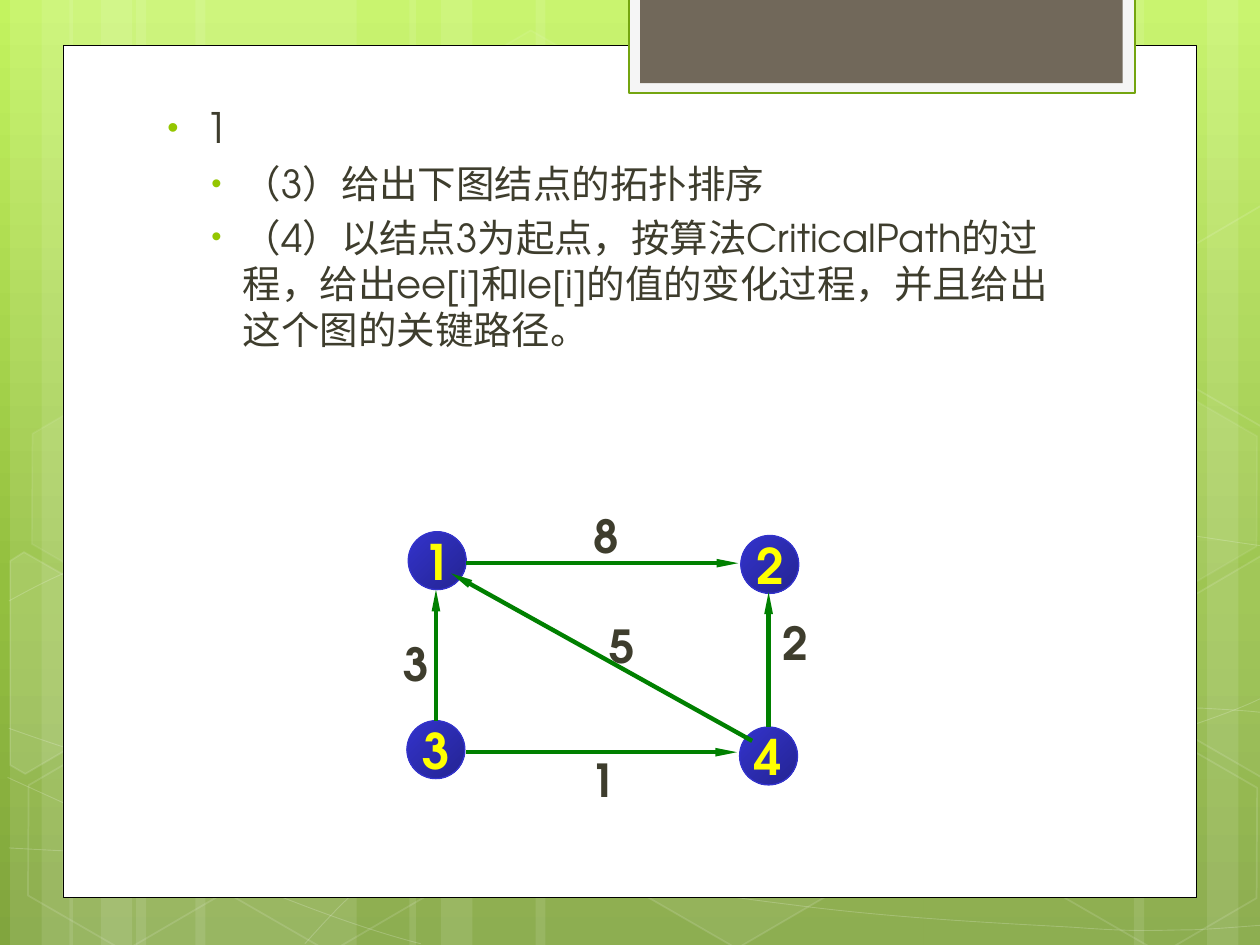
from copy import deepcopy
from math import cos, radians, sin

from lxml import etree
from pptx import Presentation
from pptx.dml.color import RGBColor
from pptx.enum.shapes import MSO_CONNECTOR, MSO_SHAPE
from pptx.enum.text import MSO_ANCHOR, PP_ALIGN
from pptx.oxml.ns import qn
from pptx.util import Inches, Pt

RECT, HEX, OVAL = MSO_SHAPE.RECTANGLE, MSO_SHAPE.HEXAGON, MSO_SHAPE.OVAL
LINE = MSO_CONNECTOR.STRAIGHT
MID, MID_ROW = PP_ALIGN.CENTER, MSO_ANCHOR.MIDDLE
FONT = "TeX Gyre Adventor"
WHITE, INK, GREEN = "FFFFFF", "3E3D2D", "008000"
TILT = 30

STRIPES = [(1.08, 1.75), (0.08, 0.5), (0.33, 0.83), (1.55, 1.75), (0.55, 0.5),
           (0.8, 0.83), (7.33, 1.75), (9.58, 0.5), (9, 0.83), (4.25, 3.08),
           (3.25, 0.5), (3.5, 0.83)]
CURVES = [
    ([3] * 4,
     [(0.07, 6.73), (0.61, 6.76), (1.15, 6.79), (1.9, 6.78), (2.65, 6.77),
      (3.58, 6.75), (4.58, 6.65), (5.58, 6.55), (7, 6.36), (7.92, 6.17),
      (8.83, 5.98), (9.77, 5.68), (10.07, 5.51)]),
    ([3] * 4,
     [(0.07, 4.77), (0.36, 4.61), (0.65, 4.46), (1.21, 4.31), (1.78, 4.16),
      (2.59, 3.94), (3.47, 3.87), (4.36, 3.8), (5.44, 3.79), (6.54, 3.87),
      (7.64, 3.95), (9.47, 4.26), (10.07, 4.34)]),
    ([3], [(0.06, 6.17), (1.27, 6.72), (2.47, 7.27), (3.34, 7.49)]),
    ([3] * 6,
     [(0.07, 5.78), (0.38, 5.89), (0.7, 6), (1.28, 6.16), (1.86, 6.31),
      (2.73, 6.56), (3.57, 6.73), (4.4, 6.9), (5.45, 7.08), (6.28, 7.18),
      (7.11, 7.29), (8, 7.33), (8.53, 7.36), (9.05, 7.4), (9.19, 7.38),
      (9.45, 7.38), (9.71, 7.37), (9.89, 7.35), (10.07, 7.34)]),
    ([3] * 7 + [1] + [3] * 2,
     [(2.42, 7.49), (2.6, 7.29), (2.78, 7.09), (3.02, 6.91), (3.26, 6.73),
      (3.6, 6.53), (3.88, 6.39), (4.16, 6.25), (4.33, 6.19), (4.7, 6.09),
      (5.06, 5.99), (5.73, 5.85), (6.08, 5.78), (6.44, 5.71), (6.49, 5.71),
      (6.8, 5.69), (7.11, 5.66), (7.6, 5.63), (7.94, 5.62), (8.29, 5.61),
      (8.86, 5.62), (8.86, 5.62), (9.53, 5.62), (9.71, 5.63), (9.88, 5.64),
      (9.97, 5.65), (10.06, 5.66), (10.03, 5.65), (10.06, 5.66)]),
]
HEXES = [(3.34, 0.36, 4, 8), (4.97, 5.89, 6, 12), (0.11, 5.91, 0, 12),
         (0.14, 3.12, 7, 8), (1.74, 5.92, 0, 12), (7.53, 4.53, 10, 12),
         (8.34, 5.93, 0, 12), (8.34, 3.14, 7, 8)]
PARTS = [
    ((0.36, 5.35), 10, [(0.08, 4.45), (0.19, 4.38), (0.96, 4.82), (0.95, 5.7),
                        (0.2, 6.14), (0.08, 6.07)]),
    ((9.85, 5.2), 4, [(9.26, 4.85), (10.01, 4.41), (10.09, 4.46), (10.09, 6.13),
                      (10.02, 6.17), (9.26, 5.73)]),
    ((9.85, 2.41), 0, [(9.26, 2.07), (10.01, 1.63), (10.1, 1.68), (10.09, 3.35),
                       (10.02, 3.39), (9.26, 2.95)]),
]
TASKS = ["1", "（3）给出下图结点的拓扑排序",
         "（4）以结点3为起点，按算法CriticalPath的过程，给出ee[i]和le[i]的值的变化过程，"
         "并且给出这个图的关键路径。"]
NODES = [("1", 0.14, 0.24), ("3", 0.13, 1.74), ("2", 2.78, 0.27), ("4", 2.77, 1.79)]
EDGES = [(0.36, 1.74, 0.36, 0.7), (0.6, 0.49, 2.76, 0.49), (0.6, 1.99, 2.75, 1.99),
         (3, 1.79, 3, 0.72), (2.87, 1.9, 0.48, 0.57)]
COSTS = [("8", 1.51, 0), ("5", 1.64, 0.88), ("2", 3.01, 0.85), ("3", 0, 1.02),
         ("1", 1.49, 1.94)]


def tint(code):
    return RGBColor.from_string(code)


def apply(item, style):
    for key, value in style.items():
        setattr(item, key, value)


def node(root, tag, **attrs):
    return etree.SubElement(root, qn(tag), attrs)


def fade(shape, route, alpha):
    for color in shape._element.xpath(f"./p:spPr/{route}a:solidFill/a:srgbClr"):
        node(color, "a:alpha", val=str(alpha * 1000))


def paint(shape, fill=None, alpha=100, line=None, width=1, veil=100):
    shape.shadow.inherit = False
    if fill and alpha:
        shape.fill.solid()
        shape.fill.fore_color.rgb = tint(fill)
        fade(shape, "", alpha)
    else:
        shape.fill.background()
    if line:
        shape.line.color.rgb = tint(line)
        shape.line.width = Pt(width)
        fade(shape, "a:ln/", veil)
    else:
        shape.line.fill.background()


def blend(fill, root, stops, angle):
    fill.gradient()
    fill.gradient_angle = angle
    ramp = root.xpath(".//a:gsLst")[0]
    while len(ramp) < len(stops):
        ramp.append(deepcopy(ramp[0]))
    for stop, (place, code) in zip(fill.gradient_stops, stops):
        stop.position = place
        stop.color.rgb = tint(code)


def put(slide, kind, box):
    return slide.shapes.add_shape(kind, *map(Inches, box))


def trace(slide, box, points, close):
    spots = [(Inches(box[0] + x), Inches(box[1] + y)) for x, y in points]
    pen = slide.shapes.build_freeform(*spots[0])
    pen.add_line_segments(spots[1:], close=close)
    return pen.convert_to_shape()


def bend(shape, sizes):
    track = shape._element.xpath(".//a:path")[0]
    legs = iter(track.findall(qn("a:lnTo")))
    for size in sizes:
        group = [next(legs) for _ in range(size)]
        if size == 3:
            arc = node(track, "a:cubicBezTo")
            for leg in group:
                arc.append(leg[0])
                track.remove(leg)
        else:
            track.append(group[0])


def turn(points, pivot, angle):
    c, s = cos(radians(angle)), sin(radians(angle))
    px, py = pivot
    return [(px + (x - px) * c - (y - py) * s, py + (x - px) * s + (y - py) * c)
            for x, y in points]


def scene(slide, box):
    left, top, _, high = box
    blend(slide.background.fill, slide._element,
          [(0, "C3F35F"), (0.62, "93BF3F"), (1, "81A53E")], 270)
    for x, wide in STRIPES:
        paint(put(slide, RECT, (left + x, top, wide, high)), WHITE, 10)
    for sizes, points in CURVES:
        wave = trace(slide, box, points, False)
        bend(wave, sizes)
        paint(wave, line=WHITE, width=0.5, veil=20)
    for x, y, alpha, veil in HEXES:
        cell = put(slide, HEX, (left + x, top + y, 1.75, 1.52))
        cell.rotation = TILT
        cell.adjustments[0] = 0.285
        paint(cell, WHITE, alpha, WHITE, 1, veil)
    for pivot, alpha, points in PARTS:
        part = trace(slide, box, turn(points, pivot, -TILT), True)
        part.rotation = TILT
        paint(part, WHITE, alpha, WHITE, 1, 12)


def panel(slide, box):
    left, top, _, _ = box
    paint(put(slide, RECT, box), WHITE, line="000000", width=0.5)
    paint(put(slide, RECT, (left + 4.49, top - 0.38, 4.02, 0.76)), "F5F5F5",
          line="74A510", width=1.25)
    paint(put(slide, RECT, (left + 4.58, top - 0.38, 3.83, 0.68)), "71685A")


def tasks(slide, box):
    frame = slide.shapes.add_textbox(*map(Inches, box)).text_frame
    frame.word_wrap = True
    for index, text in enumerate(TASKS):
        para = frame.paragraphs[0] if index == 0 else frame.add_paragraph()
        level, size, edge, hang = (1, 22, 0.68, 0.25) if index else (0, 24, 0.38, 0.3)
        apply(para, {"level": level, "space_before": Pt(4.4 if index else 0)})
        props = para._p.get_or_add_pPr()
        props.set("marL", str(Inches(edge)))
        props.set("indent", str(-Inches(hang)))
        node(node(props, "a:buClr"), "a:srgbClr", val="94C600")
        node(props, "a:buSzPct", val="76000")
        node(props, "a:buFont", typeface="Arial")
        node(props, "a:buChar", char="•")
        write(para, text, {"size": Pt(size)}, INK)


def write(para, text, style, color):
    run = para.add_run()
    run.text = text
    apply(run.font, {"name": FONT, **style})
    run.font.color.rgb = tint(color)


def graph(slide, box):
    left, top, _, _ = box
    for text, x, y in NODES:
        ball = put(slide, OVAL, (left + x, top + y, 0.46, 0.46))
        paint(ball, line="3333CC", width=0.75)
        blend(ball.fill, ball._element, [(0, "3333CC"), (1, "242492")], 315)
        apply(ball.text_frame, {"word_wrap": False, "vertical_anchor": MID_ROW})
        para = ball.text_frame.paragraphs[0]
        para.alignment = MID
        write(para, text, {"size": Pt(28), "bold": True}, "FFFF00")
    for x1, y1, x2, y2 in EDGES:
        ends = (left + x1, top + y1, left + x2, top + y2)
        edge = slide.shapes.add_connector(LINE, *map(Inches, ends))
        edge.line.color.rgb = tint(GREEN)
        edge.line.width = Pt(2.5)
        node(edge.line._get_or_add_ln(), "a:tailEnd", type="triangle", w="sm", len="lg")
        node(edge._element.spPr, "a:effectLst")
    for text, x, y in COSTS:
        label = slide.shapes.add_textbox(*map(Inches, (left + x, top + y, 0.38, 0.53)))
        label.text_frame.word_wrap = False
        write(label.text_frame.paragraphs[0], text, {"size": Pt(26), "bold": True}, INK)


def main():
    deck = Presentation()
    apply(deck, {"slide_width": Inches(10), "slide_height": Inches(7.5)})
    slide = deck.slides.add_slide(deck.slide_layouts[6])
    scene(slide, (0, 0, 10, 7.5))
    panel(slide, (0.5, 0.36, 9, 6.76))
    tasks(slide, (1.15, 0.76, 7.41, 3.02))
    graph(slide, (3.1, 3.98, 3.39, 2.47))
    deck.save("out.pptx")


if __name__ == "__main__":
    main()
